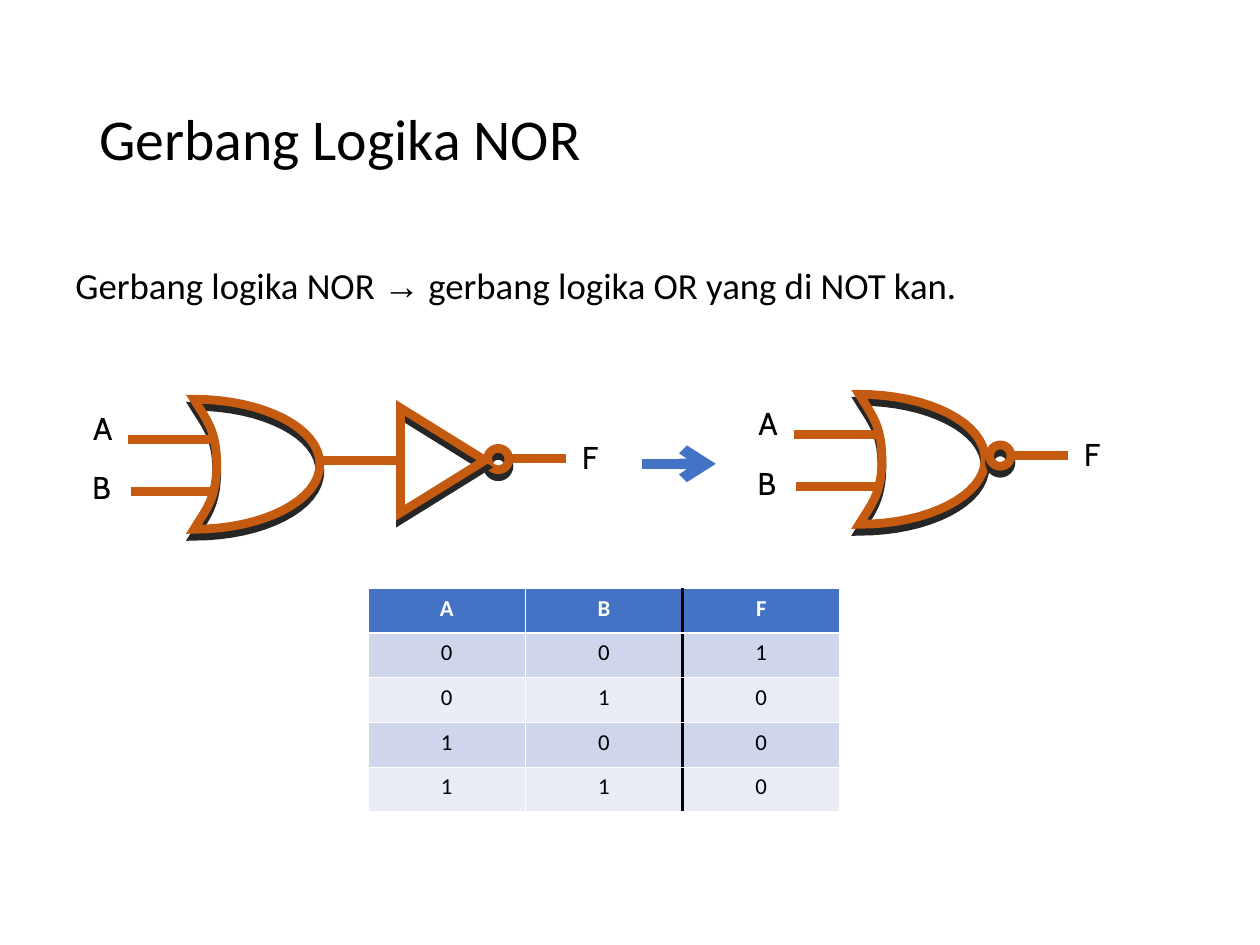
from lxml import etree
from pptx import Presentation
from pptx.dml.color import RGBColor
from pptx.enum import shapes as kinds, text as styles
from pptx.oxml import ns
from pptx.util import Cm, Pt

BLACK = RGBColor(0x00, 0x00, 0x00)
WHITE = RGBColor(0xFF, 0xFF, 0xFF)
BLUE = RGBColor(0x44, 0x72, 0xC4)
BAND_DARK = RGBColor(0xCF, 0xD5, 0xEA)
BAND_LIGHT = RGBColor(0xE9, 0xEB, 0xF5)
ORANGE = RGBColor(0xC5, 0x5A, 0x11)
SHADOW = RGBColor(0x26, 0x26, 0x26)


def outline(part):
    """Give a gate part its thick, sharp-cornered outline and hard drop shadow."""
    part.fill.background()
    part.line.color.rgb = ORANGE
    part.line.width = Pt(5)
    etree.SubElement(part.line._get_or_add_ln(), ns.qn("a:miter"), lim="800000")
    part.shadow.inherit = False
    effects = part._element.spPr.find(ns.qn("a:effectLst"))
    drop = etree.SubElement(effects, ns.qn("a:outerShdw"), blurRad="0",
                            dist=str(Pt(4)), dir="5400000", rotWithShape="0")
    etree.SubElement(drop, ns.qn("a:srgbClr"), val=str(SHADOW))


def add_wire(parent, x1, x2, y, color=ORANGE, width=5):
    wire = parent.add_connector(kinds.MSO_CONNECTOR.STRAIGHT, Cm(x1), Cm(y), Cm(x2), Cm(y))
    wire.line.color.rgb = color
    wire.line.width = Pt(width)
    etree.SubElement(wire._element.spPr, ns.qn("a:effectLst"))
    return wire


prs = Presentation()
prs.slide_width, prs.slide_height = Cm(25.4), Cm(19.05)
slide = prs.slides.add_slide(prs.slide_layouts[6])

# Title and definition
ARROW_RUN = "→"
passages = [
    ((1.75, 1.02, 21.92, 3.68), 33, styles.MSO_ANCHOR.MIDDLE, ["Gerbang Logika NOR"]),
    ((1.27, 5.28, 22.86, 12.19), 21, styles.MSO_ANCHOR.TOP,
     ["Gerbang logika NOR ", ARROW_RUN, " gerbang logika OR yang di NOT kan."]),
]
for place, size, anchor, wording in passages:
    frame = slide.shapes.add_textbox(*map(Cm, place)).text_frame
    frame.word_wrap = True
    frame.vertical_anchor = anchor
    paragraph = frame.paragraphs[0]
    paragraph.line_spacing = 0.9
    for words in wording:
        run = paragraph.add_run()
        run.text = words
        run.font.name = "Arial" if words == ARROW_RUN else "Calibri"
        run.font.size = Pt(size)
        run.font.color.rgb = BLACK

# Truth table
truth = ["ABF", "001", "010", "100", "110"]
table = slide.shapes.add_table(5, 3, Cm(7.42), Cm(11.86), Cm(9.52), Cm(4.52)).table
for column in table.columns:
    column.width = Cm(3.17)
for r, values in enumerate(truth):
    table.rows[r].height = Cm(0.9)
    for c, value in enumerate(values):
        cell = table.cell(r, c)
        cell.fill.solid()
        cell.fill.fore_color.rgb = BLUE if r == 0 else BAND_DARK if r % 2 else BAND_LIGHT
        paragraph = cell.text_frame.paragraphs[0]
        paragraph.alignment = styles.PP_ALIGN.CENTER
        run = paragraph.add_run()
        run.text = value
        run.font.name = "Calibri"
        run.font.size = Pt(13)
        run.font.bold = r == 0
        run.font.color.rgb = WHITE if r == 0 else BLACK
        thick = {"lnL": c == 2, "lnR": c == 1, "lnT": r == 1, "lnB": r == 0}
        for i, (side, heavy) in enumerate(thick.items()):
            border = etree.Element(ns.qn(f"a:{side}"), w=str(Pt(1.47 if heavy else 0.45)))
            fill = etree.SubElement(border, ns.qn("a:solidFill"))
            color = BLACK if heavy and side in ("lnL", "lnR") else WHITE
            etree.SubElement(fill, ns.qn("a:srgbClr"), val=str(color))
            cell._tc.get_or_add_tcPr().insert(i, border)

# Arrow from the two-gate circuit to the single symbol
becomes = add_wire(slide.shapes, 12.95, 14.43, 9.35, BLUE, 6)
etree.SubElement(becomes.line._get_or_add_ln(), ns.qn("a:tailEnd"), type="arrow")

# Outline of the OR gate: Bezier curves, each starting where the last one ends
gate_curves = [
    [(0, 2.62), (0.23, 2.24), (0.46, 2.01), (0.46, 1.31)],
    [(0.46, 1.31), (0.46, 0.61), (0.23, 0.38), (0, 0)],
    [(0, 0), (1.4, 0), (2.54, 0.58), (2.54, 1.31)],
    [(2.54, 1.31), (2.54, 2.04), (1.4, 2.62), (0, 2.62)],
]
STEPS = 16
gate_points = []
for curve in gate_curves:
    for step in range(STEPS):
        t = step / STEPS
        weights = ((1 - t) ** 3, 3 * t * (1 - t) ** 2, 3 * t ** 2 * (1 - t), t ** 3)
        gate_points.append([sum(w * p[axis] for w, p in zip(weights, curve))
                            for axis in (0, 1)])

# Circuits: gate shift (dx, dy), output shift (ox, oy), separate inverter or not
circuits = [(13.41, -0.1, 10.12, -0.07, False), (0, 0, 0, 0, True)]
for dx, dy, ox, oy, has_inverter in circuits:
    circuit = slide.shapes.add_group_shape().shapes
    corners = [(Cm(3.91 + dx + x), Cm(8.05 + dy + y)) for x, y in gate_points]
    builder = circuit.build_freeform(*corners[0])
    builder.add_line_segments(corners[1:], close=True)
    outline(builder.convert_to_shape())

    add_wire(circuit, 2.59 + dx, 4.29 + dx, 8.86 + dy)
    add_wire(circuit, 2.64 + dx, 4.29 + dx, 9.91 + dy)
    add_wire(circuit, 11.4 + ox, 10.24 + ox, 9.25 + oy)
    outline(circuit.add_shape(kinds.MSO_SHAPE.OVAL, Cm(9.83 + ox), Cm(9.04 + oy),
                              Cm(0.43), Cm(0.43)))
    if has_inverter:
        add_wire(circuit, 6.4, 8.08, 9.28)
        inverter = circuit.add_shape(kinds.MSO_SHAPE.ISOSCELES_TRIANGLE,
                                     Cm(7.87), Cm(8.43), Cm(2.11), Cm(1.7))
        inverter.rotation = 90
        outline(inverter)

    terminals = [("A", 1.63 + dx, 8.13 + dy), ("B", 1.61 + dx, 9.32 + dy),
                 ("F", 11.48 + ox, 8.71 + oy)]
    for letter, x, y in terminals:
        frame = circuit.add_textbox(Cm(x), Cm(y), Cm(0.9), Cm(1.02)).text_frame
        frame.word_wrap = False
        run = frame.paragraphs[0].add_run()
        run.text = letter
        run.font.name = "Cabin"
        run.font.size = Pt(18)
        run.font.color.rgb = BLACK

prs.save("out.pptx")
